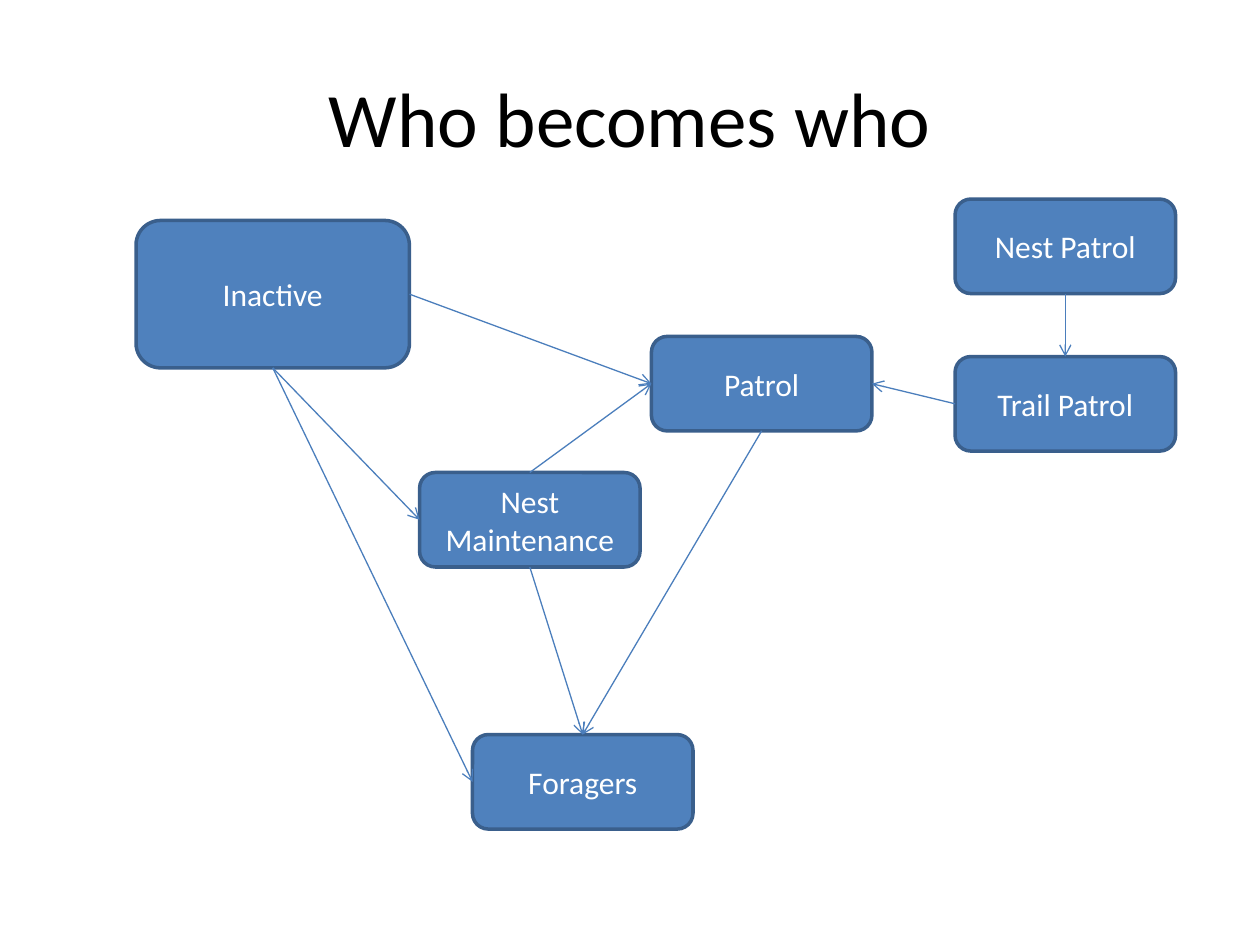
from lxml.etree import SubElement
from pptx import Presentation
from pptx.dml.color import RGBColor
from pptx.enum.shapes import MSO_CONNECTOR, MSO_SHAPE
from pptx.enum.text import MSO_ANCHOR, PP_ALIGN
from pptx.oxml.ns import qn
from pptx.util import Inches, Pt

TOP, LEFT, BOTTOM, RIGHT = range(4)


def color(hex_string):
    return RGBColor.from_string(hex_string)


def write_text(shape, text, *, size, fill, font="Calibri"):
    """Put one centred paragraph in the middle of a shape."""
    frame = shape.text_frame
    frame.word_wrap = True
    frame.vertical_anchor = MSO_ANCHOR.MIDDLE
    paragraph = frame.paragraphs[0]
    paragraph.alignment = PP_ALIGN.CENTER
    span = paragraph.add_run()
    span.text = text
    span.font.name = font
    span.font.size = Pt(size)
    span.font.color.rgb = color(fill)


deck = Presentation()
deck.slide_width = Inches(10)
deck.slide_height = Inches(7.5)
page = deck.slides.add_slide(deck.slide_layouts[6])

title = page.shapes.add_textbox(Inches(0.5), Inches(0.3), Inches(9), Inches(1.25))
write_text(title, "Who becomes who", size=44, fill="000000")

# Roles: name, left, top, width, height
roles = [
    ("Inactive", 1.08, 1.75, 2.17, 1.17),
    ("Nest Patrol", 7.58, 1.58, 1.75, 0.75),
    ("Patrol", 5.17, 2.67, 1.75, 0.75),
    ("Nest Maintenance", 3.33, 3.75, 1.75, 0.75),
    ("Trail Patrol", 7.58, 2.83, 1.75, 0.75),
    ("Foragers", 3.75, 5.83, 1.75, 0.75),
]
boxes = {}
for name, *place in roles:
    box = page.shapes.add_shape(
        MSO_SHAPE.ROUNDED_RECTANGLE, *[Inches(length) for length in place]
    )
    box.shadow.inherit = False
    box.fill.solid()
    box.fill.fore_color.rgb = color("4F81BD")
    box.line.color.rgb = color("3A5F8C")
    box.line.width = Pt(2)
    write_text(box, name, size=18, fill="FFFFFF")
    boxes[name] = box

# Role changes: from role, its side, to role, its side
changes = [
    ("Inactive", BOTTOM, "Nest Maintenance", LEFT),
    ("Nest Maintenance", TOP, "Patrol", LEFT),
    ("Inactive", RIGHT, "Patrol", LEFT),
    ("Patrol", BOTTOM, "Foragers", TOP),
    ("Nest Maintenance", BOTTOM, "Foragers", TOP),
    ("Nest Patrol", BOTTOM, "Trail Patrol", TOP),
    ("Trail Patrol", LEFT, "Patrol", RIGHT),
    ("Inactive", BOTTOM, "Foragers", LEFT),
]
for start, start_side, end, end_side in changes:
    arrow = page.shapes.add_connector(MSO_CONNECTOR.STRAIGHT, 0, 0, 0, 0)
    arrow.begin_connect(boxes[start], start_side)
    arrow.end_connect(boxes[end], end_side)
    arrow.line.color.rgb = color("4B7EBC")
    arrow.line.width = Pt(0.75)
    SubElement(arrow.line._get_or_add_ln(), qn("a:tailEnd"), type="arrow")
    SubElement(arrow._element.spPr, qn("a:effectLst"))

deck.save("out.pptx")
